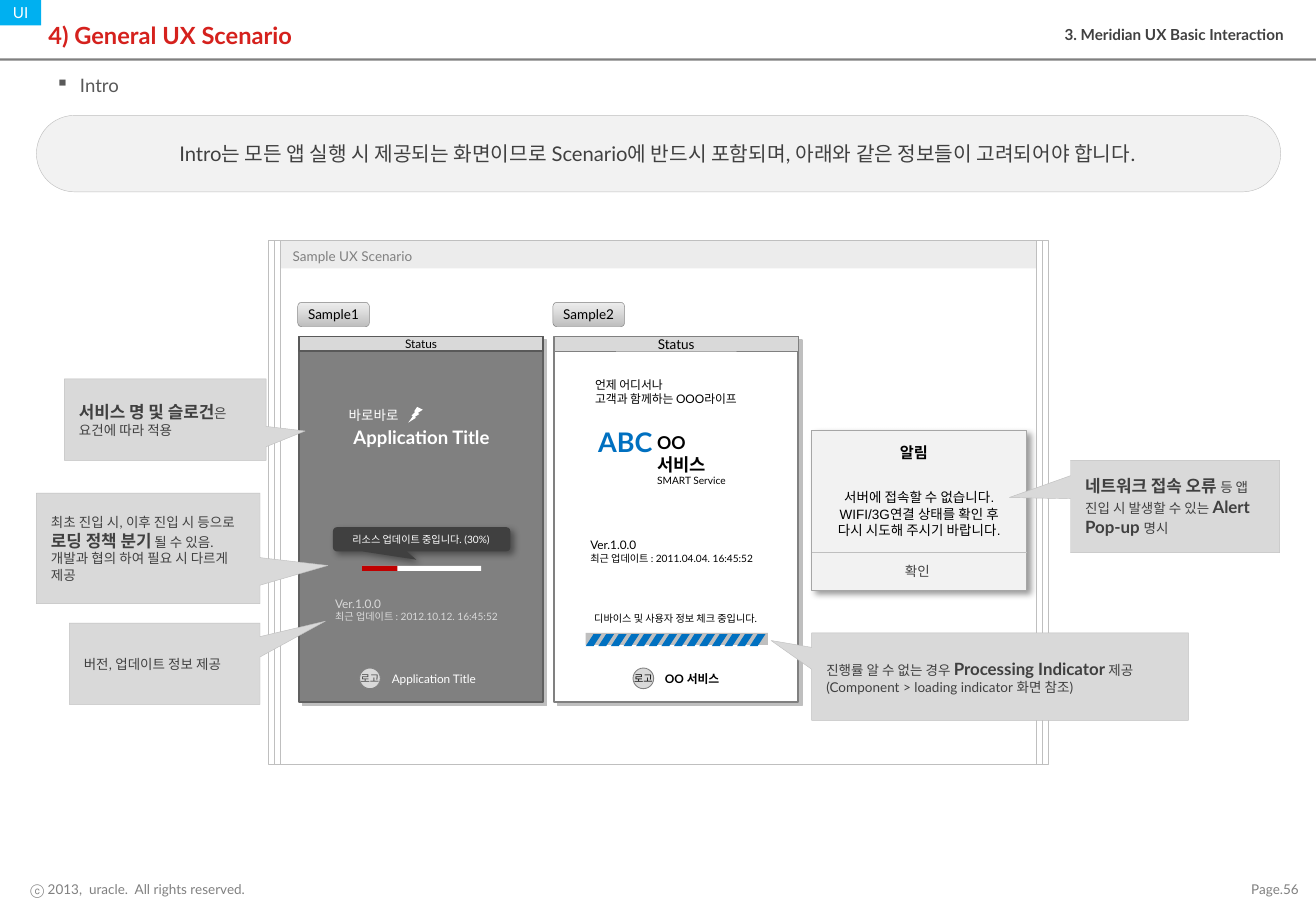
"""Builds the intro scenario slide with two sample phone screens and their callouts."""
from lxml.etree import SubElement
from pptx import Presentation
from pptx.dml.color import RGBColor
from pptx.enum.shapes import MSO_CONNECTOR, MSO_SHAPE
from pptx.enum.text import MSO_ANCHOR, PP_ALIGN
from pptx.oxml.ns import qn
from pptx.util import Inches, Pt

LEFT, CENTER, RIGHT = PP_ALIGN.LEFT, PP_ALIGN.CENTER, PP_ALIGN.RIGHT
TOP, MIDDLE = MSO_ANCHOR.TOP, MSO_ANCHOR.MIDDLE
RECT = MSO_SHAPE.RECTANGLE
SOFT = ("000000", 40, 4)
HARD = ("BFBFBF", 100, 0)

deck = Presentation()
deck.slide_width, deck.slide_height = Inches(10.83), Inches(7.5)
page = deck.slides.add_slide(deck.slide_layouts[6])


def draw(kind, at, fill=None, line=None, weight=0.25, adjust=(), shadow=None):
    box = page.shapes.add_shape(kind, *[Inches(length) for length in at])
    for index, value in enumerate(adjust):
        box.adjustments[index] = value
    if fill:
        box.fill.solid()
        box.fill.fore_color.rgb = RGBColor.from_string(fill)
    else:
        box.fill.background()
    if line:
        box.line.color.rgb = RGBColor.from_string(line)
        box.line.width = Pt(weight)
    else:
        box.line.fill.background()
    box.shadow.inherit = False
    if shadow:
        color, alpha, blur = shadow
        effects = box._element.spPr.find(qn("a:effectLst"))
        outer = SubElement(effects, qn("a:outerShdw"), blurRad=str(Pt(blur)), dist=str(Pt(3)),
                           dir="2700000", algn="tl", rotWithShape="0")
        tint = SubElement(outer, qn("a:srgbClr"), val=color)
        SubElement(tint, qn("a:alpha"), val=str(alpha * 1000))
    return box


def write(text, target, size=8, color="000000", bold=False, align=LEFT, anchor=TOP,
          inset=(0.1, 0.05), wrap=True, font="Lato", bullet=None):
    if isinstance(target, tuple):
        target = page.shapes.add_textbox(*[Inches(length) for length in target])
    frame = target.text_frame
    frame.word_wrap, frame.vertical_anchor = wrap, anchor
    frame.margin_left = frame.margin_right = Inches(inset[0])
    frame.margin_top = frame.margin_bottom = Inches(inset[1])
    lines = [[(text, size, bold)]] if isinstance(text, str) else text
    for index, spans in enumerate(lines):
        para = frame.paragraphs[0] if index == 0 else frame.add_paragraph()
        para.alignment = align
        if bullet:
            properties = para._p.get_or_add_pPr()
            properties.set("marL", str(Inches(0.2)))
            properties.set("indent", str(-Inches(0.2)))
            SubElement(properties, qn("a:buChar"), char=bullet)
        for words, points, strong in spans:
            span = para.add_run()
            span.text = words
            span.font.name, span.font.size, span.font.bold = font, Pt(points), strong
            span.font.color.rgb = RGBColor.from_string(color)


# Page frame
draw(RECT, (0, 0.48, 10.83, 0.02), "808080")
write("Page.56", (10.18, 7.21, 0.6, 0.22), color="808080", align=RIGHT, anchor=MIDDLE,
      inset=(0.09, 0.04))
write("ⓒ 2013,  uracle.  All rights reserved.", (0.06, 7.21, 2.05, 0.22), color="808080",
      align=RIGHT, anchor=MIDDLE, inset=(0.09, 0.04))
write("UI", draw(RECT, (0, 0, 0.34, 0.21), "00B0F0"), size=9, color="FFFFFF", align=CENTER,
      anchor=MIDDLE, inset=(0.1, 0), wrap=False)
write("4) General UX Scenario", (0.3, 0.08, 10.33, 0.41), size=14, color="D5211D", bold=True,
      anchor=MIDDLE)
write("3. Meridian UX Basic Interaction", (6.88, 0.16, 3.78, 0.28), size=9, color="404040",
      bold=True, align=RIGHT)
write("Intro", (0.36, 0.56, 9.39, 0.28), size=11, color="595959", anchor=MIDDLE, bullet="▪")
draw(MSO_SHAPE.ROUNDED_RECTANGLE, (0.3, 0.95, 10.24, 0.63), "F2F2F2", "BFBFBF", adjust=[0.5])
write("Intro는 모든 앱 실행 시 제공되는 화면이므로 Scenario에 반드시 포함되며, 아래와 같은 정보들이 고려되어야 합니다.",
      (0.51, 1.03, 9.8, 0.47), size=12, color="404040", align=CENTER, anchor=MIDDLE)

# Sample panel
header = draw(RECT, (2.31, 1.98, 6.22, 0.23), "ECECEC")
write("Sample UX Scenario", header, color="808080", anchor=MIDDLE)
header.text_frame.paragraphs[0].line_spacing = 1.2
for outset in (0, 0.05, 0.1):
    draw(RECT, (2.31 - outset, 1.98, 6.22 + 2 * outset, 4.31), line="BFBFBF")

# Phones
phones = [
    ("Sample1", 2.46, "808080", "606060", "595959", 0.75, 7),
    ("Sample2", 4.56, "FFFFFF", "808080", "808080", 0.5, 8),
]
for name, left, screen, border, bar_border, bar_weight, status_size in phones:
    draw(RECT, (left, 2.77, 2.01, 3.01), screen, border, 1, shadow=HARD)
    status = draw(RECT, (left, 2.77, 2.01, 0.12), "D9D9D9", bar_border, bar_weight)
    write("Status", status, size=status_size, align=CENTER, anchor=MIDDLE, wrap=False)
    tag = draw(MSO_SHAPE.ROUNDED_RECTANGLE, (left - 0.01, 2.49, 0.59, 0.2), line="808080")
    tag.fill.gradient()
    tag.fill.gradient_angle = 90
    for stop, shade in zip(tag.fill.gradient_stops, ("BDBDBD", "EEEEEE")):
        stop.color.rgb = RGBColor.from_string(shade)
    write(name, tag, align=CENTER, anchor=MIDDLE, inset=(0.04, 0.04), wrap=False)

for left, border, color in ((2.96, "808080", "404040"), (5.21, "808080", "000000")):
    logo = draw(MSO_SHAPE.OVAL, (left, 5.5, 0.17, 0.17), "D9D9D9", border, 0.5)
    write("로고", logo, size=6, color=color, align=CENTER, anchor=MIDDLE, wrap=False)

versions = [(2.66, 4.86, "2012.10.12.", "D9D9D9"), (4.76, 4.38, "2011.04.04.", "000000")]
for left, top, date, color in versions:
    write([[("Ver.1.0.0", 7, False)], [(f"최근 업데이트 : {date} 16:45:52", 6, False)]],
          (left, top, 1.62, 0.32), color=color)

# First phone content
write("바로바로", (2.68, 3.35, 0.79, 0.13), color="FFFFFF", align=CENTER, inset=(0, 0))
bolt = draw(MSO_SHAPE.LIGHTNING_BOLT, (3.36, 3.35, 0.12, 0.13), "FFFFFF")
bolt._element.spPr.xfrm.set("flipH", "1")
write("Application Title", (2.75, 3.51, 1.44, 0.19), size=11, color="FFFFFF", bold=True,
      align=CENTER, inset=(0, 0))
write("Application Title", (3.16, 5.53, 0.82, 0.12), size=7, color="FFFFFF", align=CENTER,
      inset=(0, 0))
draw(MSO_SHAPE.ROUNDED_RECTANGULAR_CALLOUT, (2.74, 4.34, 1.46, 0.2), "404040",
     adjust=[-0.03, 0.84, 0.17], shadow=SOFT)
write("리소스 업데이트 중입니다. (30%)", (2.66, 4.34, 1.61, 0.2), size=6, color="FFFFFF", align=CENTER)
for width, fill in ((0.98, "FFFFFF"), (0.29, "C00000")):
    draw(RECT, (2.98, 4.66, width, 0.04), fill)

# Second phone content
write([[("언제 어디서나", 7, False)], [("고객과 함께하는 OOO라이프", 7, False)]], (4.8, 3.06, 1.6, 0.34))
write("ABC", (4.8, 3.5, 0.69, 0.27), size=16, color="0070C0", bold=True, align=CENTER, inset=(0, 0))
write([[("OO", 10.5, True)], [("서비스", 10.5, True)], [("SMART Service", 6, False)]],
      (5.31, 3.51, 0.89, 0.56))
write("디바이스 및 사용자 정보 체크 중입니다.", (4.59, 4.99, 1.94, 0.2), size=6, align=CENTER)
write("OO 서비스", (5.35, 5.53, 0.69, 0.12), size=7, bold=True, align=CENTER, inset=(0, 0))
draw(RECT, (4.82, 5.21, 1.5, 0.1), "BFBFBF")
for stripe in range(14):
    draw(MSO_SHAPE.PARALLELOGRAM, (4.82 + stripe * 1.35 / 13, 5.22, 0.13, 0.1), "0070C0",
         adjust=[0.65])

# Alert
draw(RECT, (6.68, 3.54, 1.77, 1.32), "F2F2F2", "A6A6A6", shadow=SOFT)
write("알림", (7.22, 3.6, 0.6, 0.25), size=9, bold=True, align=CENTER)
write("확인", (7.25, 4.59, 0.6, 0.24), color="404040", align=CENTER)
message = ["서버에 접속할 수 없습니다.", "WIFI/3G연결 상태를 확인 후", "다시 시도해 주시기 바랍니다."]
write([[(line, 8, False)] for line in message], (6.72, 3.98, 1.69, 0.5), align=CENTER, font="Arial")
divider = page.shapes.add_connector(MSO_CONNECTOR.STRAIGHT, Inches(6.68), Inches(4.55),
                                    Inches(8.45), Inches(4.55))
divider.line.color.rgb = RGBColor.from_string("BFBFBF")
divider.line.width = Pt(0.25)
SubElement(divider._element.spPr, qn("a:effectLst"))

# Callouts
callouts = [
    ((0.53, 3.12, 1.66, 0.67), (0.694, 0.14),
     [[("서비스 명 및 슬로건", 10, True), ("은 요건에 따라 적용", 8, False)]]),
    ((0.3, 4.06, 1.84, 0.91), (0.804, 0.155),
     [[("최초 진입 시, 이후 진입 시 등으로 ", 8, False), ("로딩 정책 분기", 10, True),
       (" 될 수 있음. 개발과 협의 하여 필요 시 다르게 제공", 8, False)]]),
    ((0.57, 5.13, 1.57, 0.67), (0.843, -0.524), [[("버전, 업데이트 정보 제공", 8, False)]]),
    ((6.68, 5.21, 3.1, 0.72), (-0.608, -0.412),
     [[("진행률 알 수 없는 경우 ", 8, False), ("Processing Indicator", 10, True), (" 제공", 8, False)],
      [("(Component > loading indicator 화면 참조)", 8, False)]]),
    ((8.81, 3.79, 1.72, 0.76), (-0.793, -0.097),
     [[("네트워크 접속 오류 ", 10, True), ("등 앱 진입 시 발생할 수 있는 ", 8, False),
       ("Alert Pop-up ", 10, True), ("명시", 8, False)]]),
]
for at, pointer, text in callouts:
    note = draw(MSO_SHAPE.RECTANGULAR_CALLOUT, at, "D9D9D9", "BFBFBF", adjust=pointer)
    write(text, note, color="404040", anchor=MIDDLE, inset=(0.12, 0.05))

deck.save("out.pptx")
